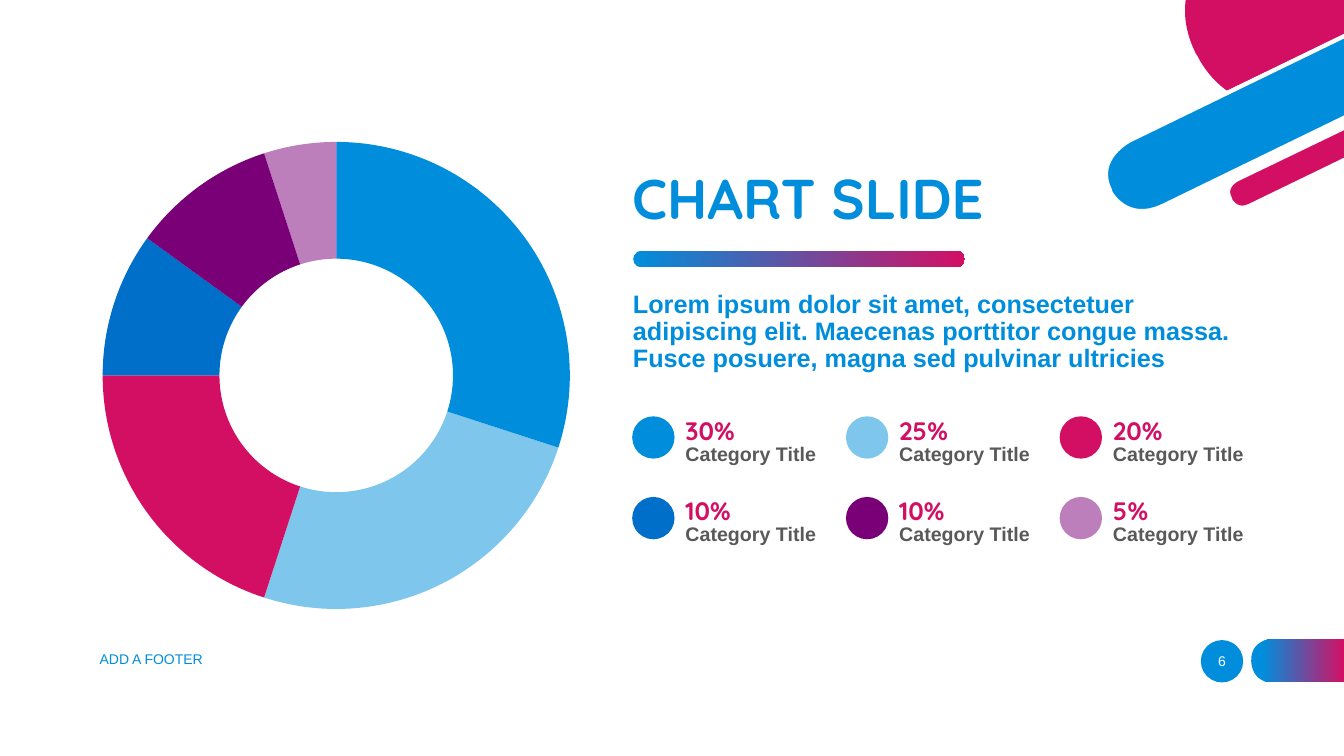
from lxml import etree
from pptx import Presentation
from pptx.chart.data import CategoryChartData
from pptx.dml.color import RGBColor
from pptx.enum.chart import XL_CHART_TYPE as ChartType
from pptx.enum.shapes import MSO_SHAPE as Shape
from pptx.enum.text import MSO_ANCHOR as Anchor, PP_ALIGN as Align
from pptx.oxml.ns import qn
from pptx.util import Inches, Pt

BLUE = RGBColor(0x00, 0x8E, 0xDC)
DEEP_BLUE = RGBColor(0x00, 0x6F, 0xC9)
MAGENTA = RGBColor(0xD3, 0x0F, 0x64)
PURPLE = RGBColor(0x7A, 0x00, 0x78)
GRAY = RGBColor(0x59, 0x59, 0x59)
WHITE = RGBColor(0xFF, 0xFF, 0xFF)
BLACK = RGBColor(0x00, 0x00, 0x00)

HEADING_FONT = "Quicksand"
BODY_FONT = "Arial"
DOT_SIZE = 0.42

# Percent, colour, half transparent
SHARES = [
    (30, BLUE, False),
    (25, BLUE, True),
    (20, MAGENTA, False),
    (10, DEEP_BLUE, False),
    (10, PURPLE, False),
    (5, PURPLE, True),
]

# Outlines: a pair is a line to a point, six numbers are a cubic curve.
# The bars run a little past the right edge so that their rim does not show there.
DISC = [(11.88, 0.56), (11.88, 0.56, 11.97, 0.76, 12.17, 0.9),
        (13.33, 0.34), (13.33, 0), (11.76, 0),
        (11.74, 0.15, 11.76, 0.33, 11.86, 0.53)]
WIDE_BAR = [(11.21, 1.39), (11.21, 1.39, 10.85, 1.57, 11.01, 1.89), (11.01, 1.9),
            (11.01, 1.9, 11.17, 2.22, 11.54, 2.04), (13.39, 1.14), (13.39, 0.33)]
THIN_BAR = [(12.27, 1.78), (12.27, 1.78, 12.13, 1.85, 12.2, 1.97), (12.2, 1.98),
            (12.2, 1.98, 12.26, 2.11, 12.4, 2.04), (13.39, 1.56), (13.39, 1.24)]
PAGE_TAB = [(13.33, 6.77), (13.33, 6.34), (12.62, 6.34),
            (12.62, 6.34, 12.41, 6.34, 12.41, 6.55), (12.41, 6.56),
            (12.41, 6.56, 12.41, 6.77, 12.62, 6.77)]


def paint(fill, color, half=False):
    fill.solid()
    fill.fore_color.rgb = color
    if half:
        tone = fill._xPr.find(".//" + qn("a:srgbClr"))
        etree.SubElement(tone, qn("a:alpha"), val="50000")


def paint_gradient(fill, start=0.0):
    fill.gradient()
    fill.gradient_angle = 0
    for stop, color, position in zip(fill.gradient_stops, (BLUE, MAGENTA), (start, 1.0)):
        stop.color.rgb = color
        stop.position = position


def trace(outline, steps=16):
    """Turn lines and cubic curves into a list of points."""
    points = [outline[0]]
    for part in outline[1:]:
        if len(part) == 2:
            points.append(part)
            continue
        knots = [points[-1], part[:2], part[2:4], part[4:]]
        for step in range(1, steps + 1):
            t = step / steps
            weights = ((1 - t) ** 3, 3 * t * (1 - t) ** 2, 3 * t * t * (1 - t), t ** 3)
            points.append(tuple(sum(w * knot[axis] for w, knot in zip(weights, knots))
                                for axis in (0, 1)))
    return points


def add_outline(slide, outline):
    points = [(Inches(x), Inches(y)) for x, y in trace(outline)]
    builder = slide.shapes.build_freeform(*points[0])
    builder.add_line_segments(points[1:], close=True)
    shape = builder.convert_to_shape()
    shape.shadow.inherit = False
    shape.line.fill.background()
    return shape


def add_preset(slide, kind, left, top, width, height):
    shape = slide.shapes.add_shape(kind, Inches(left), Inches(top),
                                   Inches(width), Inches(height))
    shape.shadow.inherit = False
    shape.line.fill.background()
    return shape


def add_dot(slide, left, top, color, half=False):
    dot = add_preset(slide, Shape.OVAL, left, top, DOT_SIZE, DOT_SIZE)
    paint(dot.fill, color, half)


def add_text(slide, text, left, top, width, height, size, color, font=BODY_FONT,
             bold=False, anchor=Anchor.TOP, align=Align.LEFT, spacing=0.9):
    box = slide.shapes.add_textbox(Inches(left), Inches(top), Inches(width), Inches(height))
    frame = box.text_frame
    frame.word_wrap = True
    frame.vertical_anchor = anchor
    para = frame.paragraphs[0]
    para.text = text
    para.alignment = align
    para.line_spacing = spacing
    para.font.name = font
    para.font.size = Pt(size)
    para.font.bold = bold
    para.font.color.rgb = color


def add_corner_art(slide):
    paint(add_outline(slide, DISC).fill, MAGENTA)
    for outline, color in ((WIDE_BAR, BLUE), (THIN_BAR, MAGENTA)):
        bar = add_outline(slide, outline)
        paint(bar.fill, color)
        paint(bar.line.fill, WHITE)
        bar.line.width = Pt(3)


def add_doughnut(slide):
    data = CategoryChartData()
    data.categories = [str(number) for number in range(1, len(SHARES) + 1)]
    data.add_series("Series 1", [percent for percent, _, _ in SHARES])
    chart = slide.shapes.add_chart(ChartType.DOUGHNUT, Inches(0.87), Inches(1.19),
                                   Inches(4.93), Inches(5.02), data).chart
    chart.has_title = False
    chart.has_legend = False
    chart.font.name = BODY_FONT
    chart.font.size = Pt(10)
    chart.font.color.rgb = BLACK
    plot = chart.plots[0]
    plot.vary_by_categories = True
    for index, (_, color, half) in enumerate(SHARES):
        wedge = plot.series[0].points[index].format
        paint(wedge.fill, color, half)
        wedge.line.fill.background()
    plot._element.find(qn("c:holeSize")).set("val", "52")

    # Fix the ring's place inside the chart
    area = chart._chartSpace.find(".//" + qn("c:plotArea"))
    layout = area.find(qn("c:layout"))
    if layout is None:
        layout = etree.Element(qn("c:layout"))
        area.insert(0, layout)
    manual = etree.SubElement(layout, qn("c:manualLayout"))
    for name, value in (("layoutTarget", "inner"), ("xMode", "edge"), ("yMode", "edge"),
                        ("x", "0.03"), ("y", "0.04"), ("w", "0.94"), ("h", "0.93")):
        etree.SubElement(manual, qn("c:" + name), val=value)


def add_legend(slide):
    for index, (percent, color, half) in enumerate(SHARES):
        row, column = divmod(index, 3)
        left, top = 6.27 + 2.12 * column, 4.13 + 0.8 * row
        add_dot(slide, left, top, color, half)
        add_text(slide, f"{percent}%", left + 0.43, top - 0.06, 1.75, 0.4, 18, MAGENTA,
                 font=HEADING_FONT, bold=True, anchor=Anchor.BOTTOM)
        add_text(slide, "Category Title", left + 0.43, top + 0.23, 1.75, 0.4, 14, GRAY,
                 bold=True)


def add_footer(slide):
    add_dot(slide, 11.91, 6.35, BLUE)
    paint_gradient(add_outline(slide, PAGE_TAB).fill, start=0.12)
    add_text(slide, "ADD A FOOTER", 0.89, 6.34, 4.5, 0.4, 10, BLUE,
             anchor=Anchor.MIDDLE, spacing=1.0)
    add_text(slide, "6", 11.82, 6.36, 0.6, 0.4, 10, WHITE,
             anchor=Anchor.MIDDLE, align=Align.CENTER, spacing=1.0)


def main():
    deck = Presentation()
    deck.slide_width, deck.slide_height = Inches(13.33), Inches(7.5)
    slide = deck.slides.add_slide(deck.slide_layouts[6])

    add_corner_art(slide)
    add_doughnut(slide)

    # Heading, gradient rule and introduction
    add_text(slide, "CHART SLIDE", 6.17, 1.61, 4.81, 0.74, 40, BLUE,
             font=HEADING_FONT, bold=True, anchor=Anchor.BOTTOM)
    rule = add_preset(slide, Shape.ROUNDED_RECTANGLE, 6.28, 2.49, 3.29, 0.16)
    rule.adjustments[0] = 0.5
    paint_gradient(rule.fill)
    add_text(slide, "Lorem ipsum dolor sit amet, consectetuer adipiscing elit. "
             "Maecenas porttitor congue massa. Fusce posuere, magna sed pulvinar ultricies",
             6.18, 2.84, 6.16, 0.91, 18, BLUE, bold=True)

    add_legend(slide)
    add_footer(slide)
    deck.save("out.pptx")


if __name__ == "__main__":
    main()
